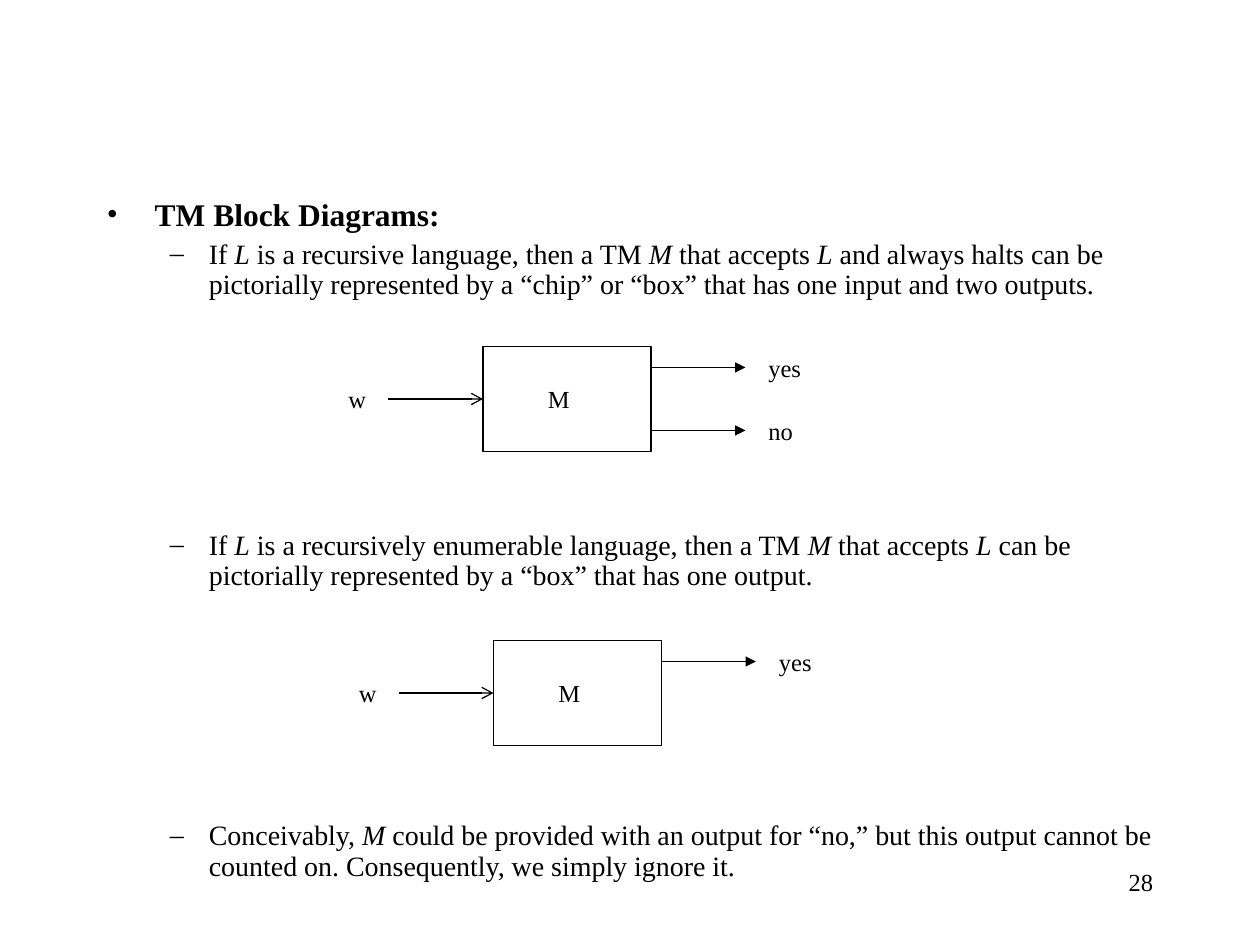
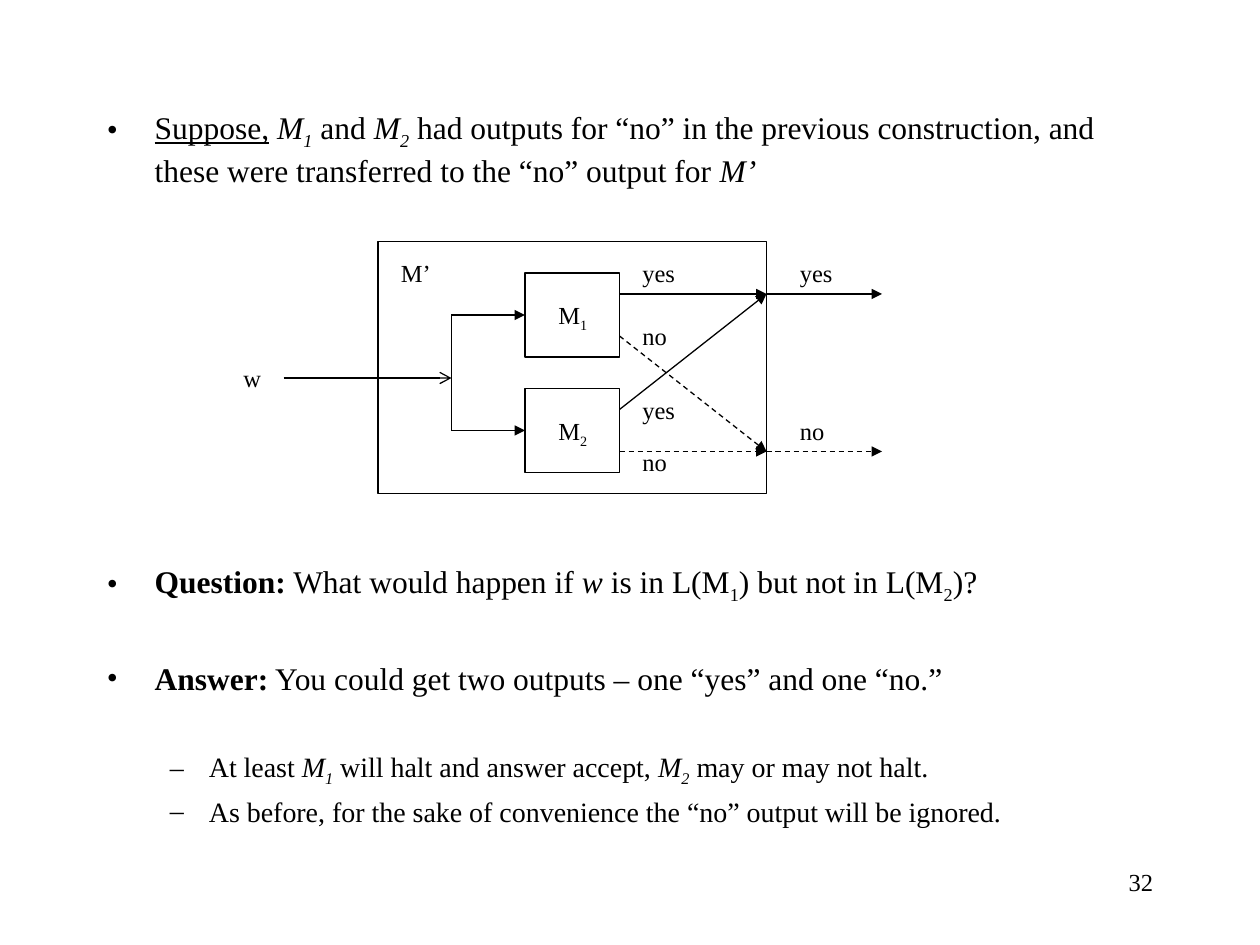
import pptx
import pptx.dml.color
import pptx.enum.dml
import pptx.enum.shapes
import pptx.enum.text
import pptx.oxml
import pptx.oxml.ns
import pptx.util

WIDTH, HEIGHT = 10, 7.5
CELL = 1 / 12  # side of a diagram grid cell, in inches
FONT = "Times New Roman"
INK = "000000"
LABEL_SIZE = 14
LABEL_WIDTHS = {"w": 0.34, "yes": 0.46, "no": 0.41, "M": 0.38, "M’": 0.45, "M1": 0.44, "M2": 0.44}
# For each level: text size, left margin, hanging indent, bullet
LEVELS = [(18, 0.38, 0.38, "•"), (16, 0.81, 0.31, "–")]


def inches(value):
    return pptx.util.Inches(value)


def color(hex_string):
    return pptx.dml.color.RGBColor.from_string(hex_string)


def add_element(parent, tag, **attributes):
    child = pptx.oxml.parse_xml(f"<a:{tag} {pptx.oxml.ns.nsdecls('a')}/>")
    for name, value in attributes.items():
        child.set(name, value)
    parent.append(child)
    return child


# Text

def add_span(para, text, size, style=""):
    """Style letters: b bold, i italic, u underline, s subscript."""
    span = para.add_run()
    span.text = text
    span.font.name = FONT
    span.font.size = pptx.util.Pt(size)
    span.font.color.rgb = color(INK)
    for letter, attribute in (("b", "bold"), ("i", "italic"), ("u", "underline")):
        if letter in style:
            setattr(span.font, attribute, True)
    if "s" in style:
        span.font._element.set("baseline", "-25000")


def add_box(page, left, top, width, height, wrap=True):
    box = page.shapes.add_textbox(*map(inches, (left, top, width, height)))
    box.text_frame.word_wrap = wrap
    return box


def add_bullet(para, level):
    size, margin, hang, mark = LEVELS[level]
    para.level = level
    properties = para._p.get_or_add_pPr()
    properties.set("marL", str(inches(margin)))
    properties.set("indent", str(-inches(hang)))
    add_element(add_element(properties, "buClr"), "srgbClr", val=INK)
    add_element(properties, "buFont", typeface=FONT)
    add_element(properties, "buChar", char=mark)
    para.font.size = pptx.util.Pt(size)


def add_body(page, top, height, text_start, line_spacing, points):
    """Each point is its level, the space before it in points, and its spans."""
    frame = add_box(page, 0.075 * WIDTH, top, 0.85 * WIDTH, height).text_frame
    frame.margin_top = inches(text_start)
    for number, (level, space, spans) in enumerate(points):
        para = frame.add_paragraph() if number else frame.paragraphs[0]
        add_bullet(para, level)
        para.line_spacing = line_spacing
        para.space_before = pptx.util.Pt(space)
        for text, style in spans:
            add_span(para, text, LEVELS[level][0], style)


def add_page_number(page, number):
    box = add_box(page, 7.17, 6.83, 2.08, 0.5)
    para = box.text_frame.paragraphs[0]
    para.alignment = pptx.enum.text.PP_ALIGN.RIGHT
    add_span(para, str(number), LABEL_SIZE)


# Diagram parts, placed in grid cells from the diagram's corner

class Diagram:
    def __init__(self, page, column, row):
        self.page, self.column, self.row = page, column, row

    def place(self, column, row):
        return (self.column + column) * CELL, (self.row + row) * CELL

    def block(self, column, row, columns, rows):
        lengths = (*self.place(column, row), columns * CELL, rows * CELL)
        block = self.page.shapes.add_shape(
            pptx.enum.shapes.MSO_SHAPE.RECTANGLE, *map(inches, lengths))
        block.shadow.inherit = False
        block.fill.background()
        block.line.color.rgb = color(INK)
        block.line.width = pptx.util.Pt(0.75)

    def wire(self, start, end, head="triangle", dashed=False):
        ends = map(inches, (*self.place(*start), *self.place(*end)))
        wire = self.page.shapes.add_connector(
            pptx.enum.shapes.MSO_CONNECTOR.STRAIGHT, *ends)
        wire.line.color.rgb = color(INK)
        wire.line.width = pptx.util.Pt(0.75)
        if dashed:
            wire.line.dash_style = pptx.enum.dml.MSO_LINE.DASH
        properties = wire._element.spPr
        if head:
            add_element(properties.find(pptx.oxml.ns.qn("a:ln")), "tailEnd", type=head)
        add_element(properties, "effectLst")

    def label(self, column, row, text, subscript=""):
        width = LABEL_WIDTHS[text + subscript]
        box = add_box(self.page, *self.place(column, row), width,
                      0.37 if subscript else 0.34, wrap=False)
        box.text_frame.auto_size = pptx.enum.text.MSO_AUTO_SIZE.SHAPE_TO_FIT_TEXT
        para = box.text_frame.paragraphs[0]
        add_span(para, text, LABEL_SIZE)
        if subscript:
            add_span(para, subscript, LABEL_SIZE, "s")


def draw_machine(page, column, row, outputs):
    diagram = Diagram(page, column, row)
    diagram.block(14, 0, 16, 10)
    diagram.wire((5, 5), (14, 5), "arrow")
    diagram.label(0, 3, "w")
    diagram.label(19, 3, "M")
    for number, output in enumerate(outputs):
        level = 2 + 6 * number
        diagram.wire((30, level), (39, level))
        diagram.label(40, level - 2, output)


def draw_union_machine(page, column, row):
    diagram = Diagram(page, column, row)
    yes_row, no_row, frame_right = 5, 20, 51

    # Outer machine and its input
    diagram.block(14, 0, 37, 24)
    diagram.label(15, 1, "M’")
    diagram.wire((5, 13), (21, 13), "arrow")
    diagram.label(0, 11, "w")
    diagram.wire((21, 7), (21, 18), None)

    # Inner machines
    for subscript, top, input_row, yes_label, no_label, yes_out, no_out in (
            ("1", 3, 7, 1, 7, 5, 9), ("2", 14, 18, 14, 19, 16, 20)):
        diagram.block(28, top, 9, 8)
        diagram.label(30, top + 2, "M", subscript)
        diagram.wire((21, input_row), (28, input_row))
        diagram.wire((37, yes_out), (frame_right, yes_row))
        diagram.wire((37, no_out), (frame_right, no_row), dashed=True)
        diagram.label(38, yes_label, "yes")
        diagram.label(38, no_label, "no")

    # Outputs of the outer machine
    for answer, level in (("yes", yes_row), ("no", no_row)):
        diagram.wire((frame_right, level), (62, level), dashed=answer == "no")
        diagram.label(53, level - 4, answer)


# Slides

def build_block_diagrams(page):
    add_page_number(page, 28)
    add_body(page, 0.5, 6.67, 1.08, 0.9, [
        (0, 0, [("TM Block Diagrams:", "b")]),
        (1, 4, [("If ", ""), ("L", "i"), (" is a recursive language, then a TM ", ""),
                ("M", "i"), (" that accepts ", ""), ("L", "i"),
                (" and always halts can be pictorially represented by a “chip” or “box” "
                 "that has one input and two outputs.", "")]),
        (1, 131.7, [("If ", ""), ("L", "i"),
                    (" is a recursively enumerable language, then a TM ", ""),
                    ("M", "i"), (" that accepts ", ""), ("L", "i"),
                    (" can be pictorially represented by a “box” that has one output.", "")]),
        (1, 131.7, [("Conceivably, ", ""), ("M", "i"),
                    (" could be provided with an output for “no,” but this output cannot be "
                     "counted on. Consequently, we simply ignore it.", "")]),
    ])
    draw_machine(page, 32, 33, ["yes", "no"])
    draw_machine(page, 33, 61, ["yes"])


def build_two_outputs(page):
    add_page_number(page, 32)
    add_body(page, 0.45, 6.71, 0.41, 1.0, [
        (0, 0, [("Suppose,", "u"), (" ", ""), ("M", "i"), ("1", "is"), (" and ", ""),
                ("M", "i"), ("2", "is"),
                (" had outputs for “no” in the previous construction, and these were "
                 "transferred to the “no” output for ", ""), ("M’", "i")]),
        (0, 213.3, [("Question:", "b"), (" What would happen if ", ""), ("w", "i"),
                    (" is in L(M", ""), ("1", "s"), (") but not in L(M", ""),
                    ("2", "s"), (")?", "")]),
        (0, 30.6, [("Answer:", "b"),
                   (" You could get two outputs – one “yes” and one “no.”", "")]),
        (1, 30.1, [("At least ", ""), ("M", "i"), ("1", "is"),
                   (" will halt and answer accept, ", ""), ("M", "i"), ("2", "is"),
                   (" may or may not halt.", "")]),
        (1, 4, [("As before, for the sake of convenience the “no” output will be ignored.", "")]),
    ])
    draw_union_machine(page, 22, 23)


def main():
    deck = pptx.Presentation()
    deck.slide_width, deck.slide_height = inches(WIDTH), inches(HEIGHT)
    for build in (build_block_diagrams, build_two_outputs):
        build(deck.slides.add_slide(deck.slide_layouts[6]))
    deck.save("out.pptx")


if __name__ == "__main__":
    main()
